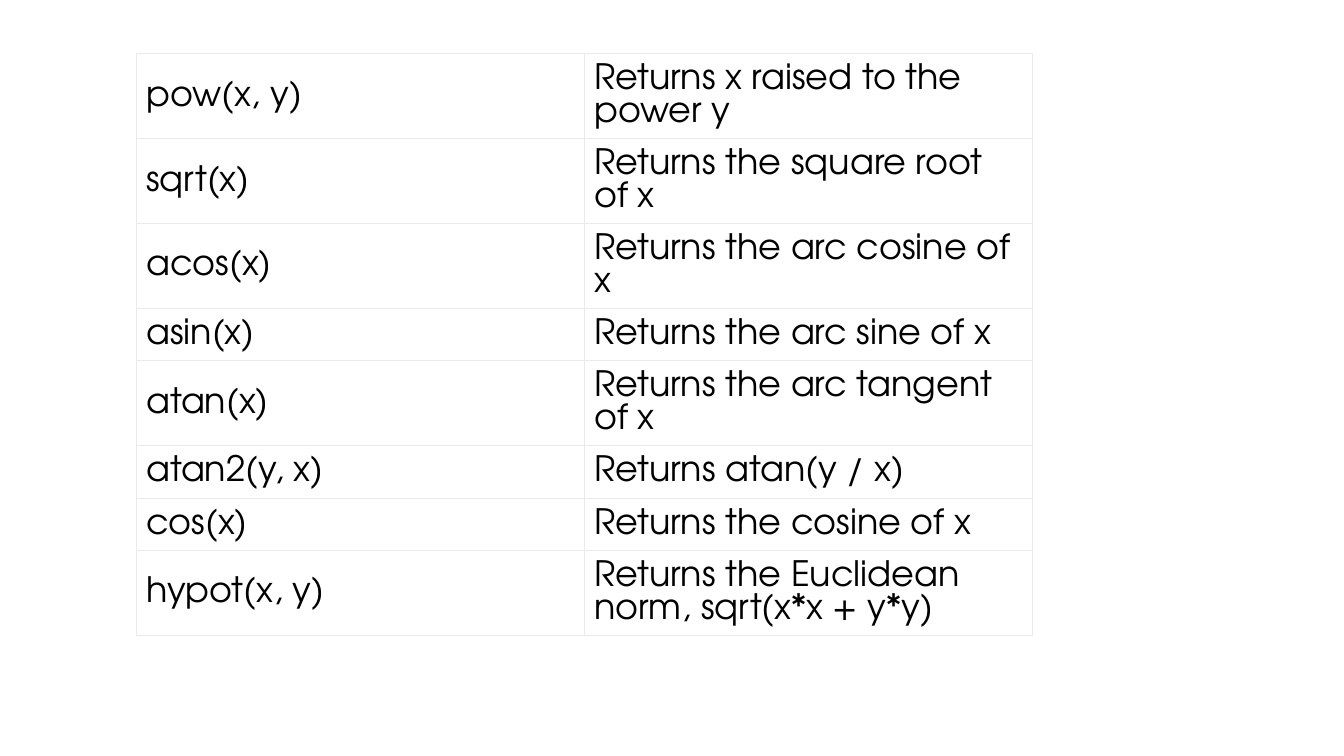
from lxml import etree
from pptx import Presentation
from pptx.dml.color import RGBColor
from pptx.enum.text import MSO_ANCHOR
from pptx.oxml.ns import qn
from pptx.util import Pt

MIDDLE = MSO_ANCHOR.MIDDLE
COLORS = {"text": "000000", "fill": "FFFFFF", "border": "EAEAEC"}
FONT = "TeX Gyre Adventor"
COLUMN_WIDTH = 320
ONE_LINE, TWO_LINES = 37.4, 60.7

FUNCTIONS = [
    ("pow(x, y)", "Returns x raised to the power y", TWO_LINES),
    ("sqrt(x)", "Returns the square root of x", TWO_LINES),
    ("acos(x)", "Returns the arc cosine of x", TWO_LINES),
    ("asin(x)", "Returns the arc sine of x", ONE_LINE),
    ("atan(x)", "Returns the arc tangent of x", TWO_LINES),
    ("atan2(y, x)", "Returns atan(y / x)", ONE_LINE),
    ("cos(x)", "Returns the cosine of x", ONE_LINE),
    ("hypot(x, y)", "Returns the Euclidean norm, sqrt(x*x + y*y)", TWO_LINES),
]


def write_cell(cell, text, size=25, color="text", fill="fill"):
    cell.margin_left = cell.margin_top = Pt(7)
    cell.margin_right, cell.margin_bottom = Pt(6), Pt(6.5)
    cell.vertical_anchor = MIDDLE
    span = cell.text_frame.paragraphs[0].add_run()
    span.text = text
    span.font.name = FONT
    span.font.size = Pt(size)
    span.font.color.rgb = RGBColor.from_string(COLORS[color])
    cell.fill.solid()
    cell.fill.fore_color.rgb = RGBColor.from_string(COLORS[fill])


def add_borders(cell, width=0.75, color="border"):
    properties = cell._tc.get_or_add_tcPr()
    for position, side in enumerate(("a:lnL", "a:lnR", "a:lnT", "a:lnB")):
        line = etree.Element(qn(side), w=str(Pt(width)))
        solid = etree.SubElement(line, qn("a:solidFill"))
        etree.SubElement(solid, qn("a:srgbClr"), val=COLORS[color])
        properties.insert(position, line)


deck = Presentation()
deck.slide_width, deck.slide_height = Pt(960), Pt(540)
page = deck.slides.add_slide(deck.slide_layouts[6])

table_height = sum(height for _, _, height in FUNCTIONS)
table = page.shapes.add_table(
    len(FUNCTIONS), 2, Pt(97.5), Pt(38.3), Pt(2 * COLUMN_WIDTH), Pt(table_height)
).table
table.first_row = table.horz_banding = False

for column in table.columns:
    column.width = Pt(COLUMN_WIDTH)

for row, (call, meaning, height) in zip(table.rows, FUNCTIONS):
    row.height = Pt(height)
    for cell, text in zip(row.cells, (call, meaning)):
        write_cell(cell, text)
        add_borders(cell)

deck.save("out.pptx")
